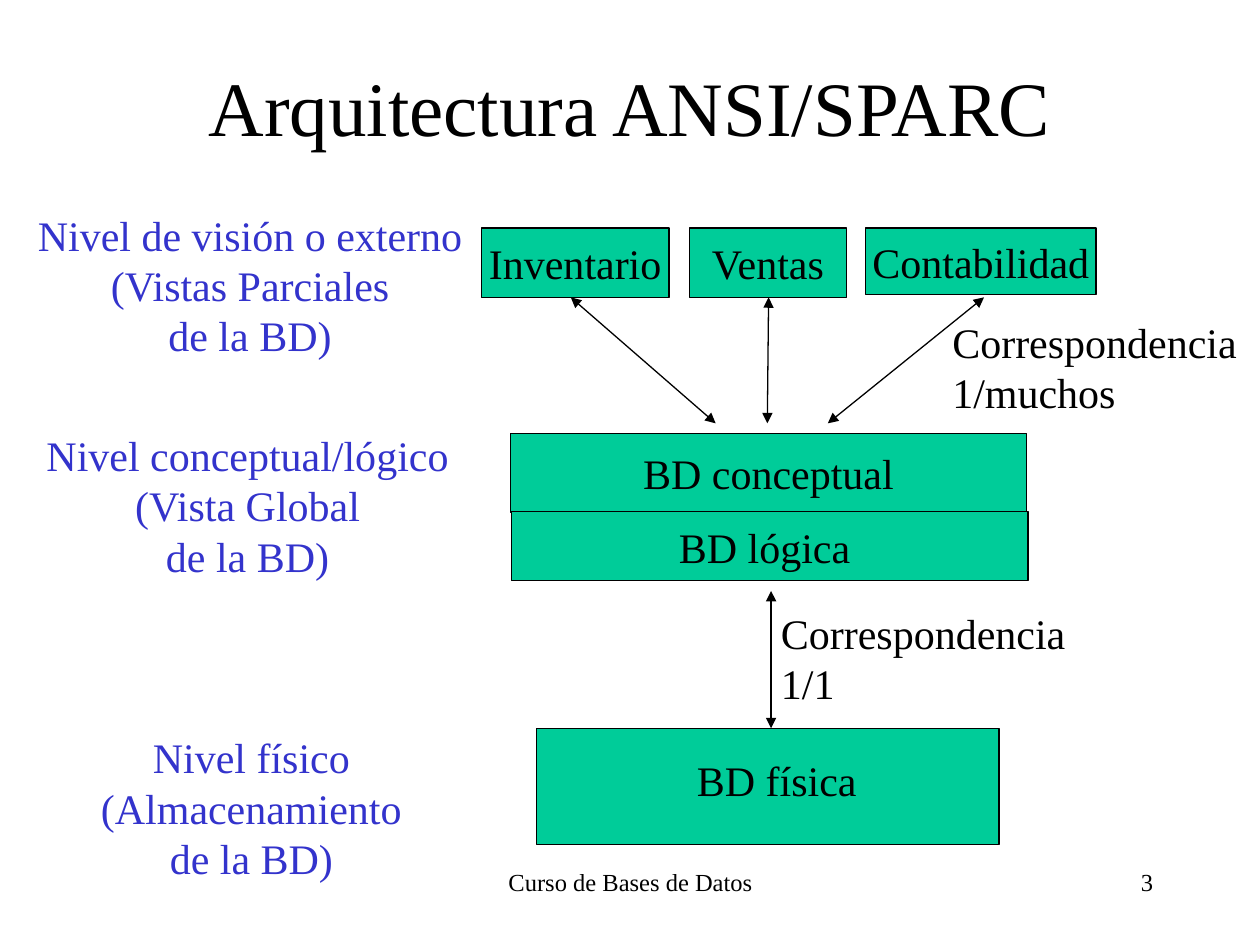
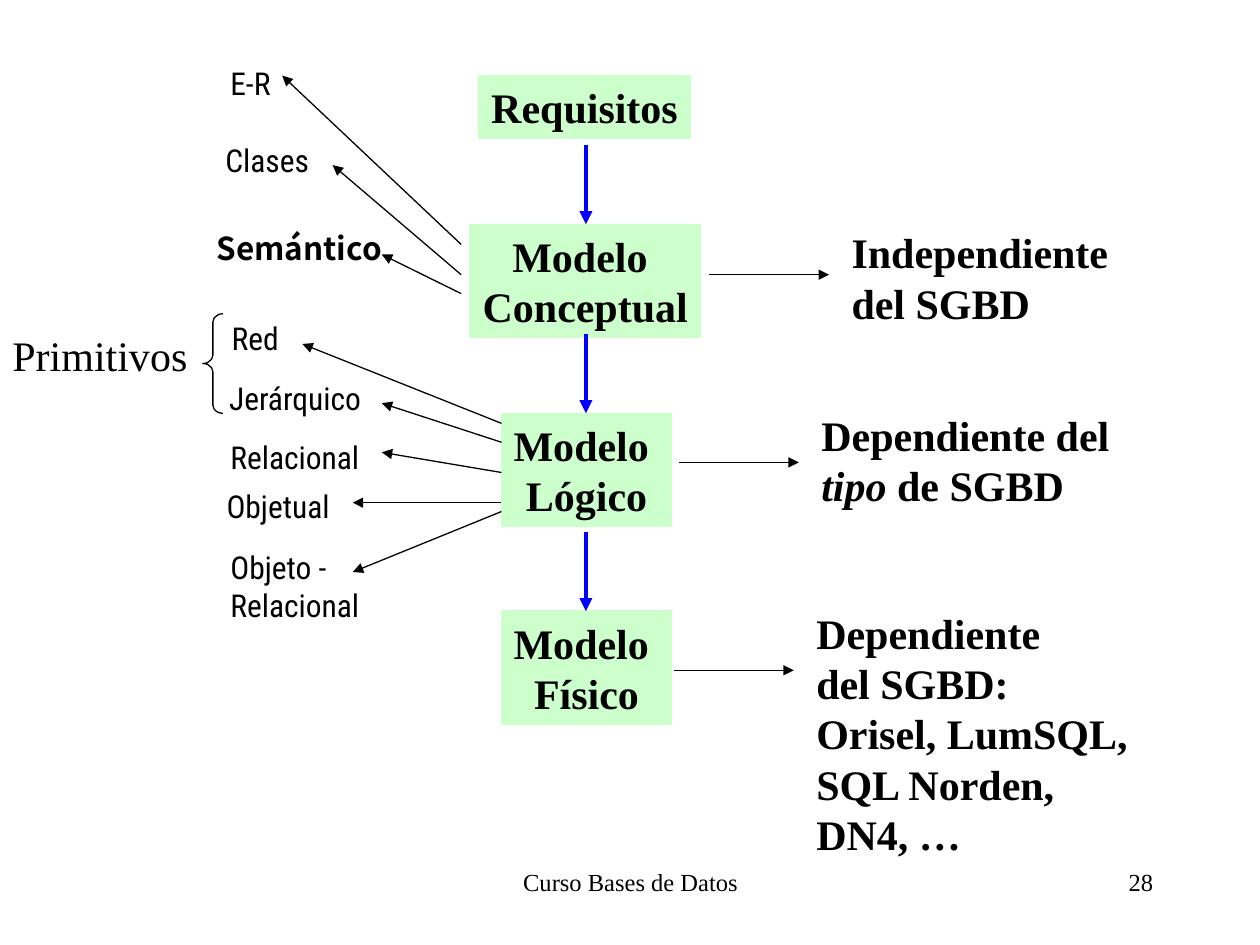
from lxml import etree
from pptx import Presentation
from pptx.dml.color import RGBColor
from pptx.enum.shapes import MSO_CONNECTOR, MSO_SHAPE
from pptx.enum.text import MSO_ANCHOR, PP_ALIGN
from pptx.oxml.ns import qn
from pptx.util import Inches, Pt

LEFT, CENTER, RIGHT = PP_ALIGN.LEFT, PP_ALIGN.CENTER, PP_ALIGN.RIGHT
TOP, MIDDLE = MSO_ANCHOR.TOP, MSO_ANCHOR.MIDDLE
RECTANGLE, LEFT_BRACE = MSO_SHAPE.RECTANGLE, MSO_SHAPE.LEFT_BRACE
STRAIGHT = MSO_CONNECTOR.STRAIGHT

COLUMNS, ROWS = 100, 75
BLANK_LAYOUT = 6
SERIF, CONDENSED, SANS = "Times New Roman", "Roboto Condensed", "Noto Sans CJK SC"
BLACK, LEVEL_BLUE, FLOW_BLUE = "000000", "3333CC", "0000FF"
DATABASE_GREEN, MODEL_GREEN = "00CC99", "CCFFCC"
THIN, THICK = 0.75, 2.5


def grid(*cells):
    """Turn grid columns or rows (a tenth of an inch each) into lengths."""
    return [Inches(cell / 10) for cell in cells]


def color(hex_string):
    """Return the colour of a hex string."""
    return RGBColor.from_string(hex_string)


def write(frame, text, size=24, font=SERIF, ink=BLACK, bold=False,
          alignment=LEFT, anchor=TOP, wrap=False):
    """Write one paragraph per line; words between asterisks are italic."""
    frame.word_wrap = wrap
    frame.vertical_anchor = anchor
    for index, line in enumerate(text.split("\n")):
        paragraph = frame.add_paragraph() if index else frame.paragraphs[0]
        paragraph.alignment = alignment
        paragraph.font.size = Pt(size)
        paragraph.font.name = font
        paragraph.font.bold = bold
        paragraph.font.color.rgb = color(ink)
        for position, part in enumerate(line.split("*")):
            run = paragraph.add_run()
            run.text = part
            if position % 2:
                run.font.italic = True


def add_text(slide, place, text, **style):
    """Add a text box."""
    write(slide.shapes.add_textbox(*grid(*place)).text_frame, text, **style)


def add_box(slide, place, text, fill, line, **style):
    """Add a filled rectangle with text."""
    shape = slide.shapes.add_shape(RECTANGLE, *grid(*place))
    shape.shadow.inherit = False
    shape.fill.solid()
    shape.fill.fore_color.rgb = color(fill)
    shape.line.color.rgb = color(line)
    shape.line.width = Pt(THIN)
    if text:
        write(shape.text_frame, text, **style)


def add_arrow(slide, start, end, ink=BLACK, width=THIN, both_ends=False):
    """Add an arrow with a head at its end, or at both ends."""
    connector = slide.shapes.add_connector(STRAIGHT, *grid(*start, *end))
    connector.line.color.rgb = color(ink)
    connector.line.width = Pt(width)
    properties = connector.element.spPr
    outline = properties.find(qn("a:ln"))
    for name in ("a:headEnd", "a:tailEnd") if both_ends else ("a:tailEnd",):
        etree.SubElement(outline, qn(name), type="triangle")
    etree.SubElement(properties, qn("a:effectLst"))


def add_brace(slide, place):
    """Add a left brace with rounded corners."""
    brace = slide.shapes.add_shape(LEFT_BRACE, *grid(*place))
    brace.shadow.inherit = False
    brace.adjustments[0] = 0.41
    brace.fill.background()
    brace.line.color.rgb = color(BLACK)
    brace.line.width = Pt(THIN)


def add_slide(presentation, footer, number):
    """Add a blank slide with its footer and number."""
    slide = presentation.slides.add_slide(presentation.slide_layouts[BLANK_LAYOUT])
    add_text(slide, (34.2, 68.3, 31.7, 5), footer, size=14, alignment=CENTER, wrap=True)
    add_text(slide, (71.7, 68.3, 20.8, 5), number, size=14, alignment=RIGHT, wrap=True)
    return slide


def build_architecture(presentation):
    """Build the slide of the three database levels."""
    slide = add_slide(presentation, "Curso de Bases de Datos", "3")
    add_text(slide, (7.5, 2.1, 85, 12.5), "Arquitectura ANSI/SPARC", size=44,
             alignment=CENTER, anchor=MIDDLE, wrap=True)
    for place, text in (
        ((38.2, 18.1, 14.9, 5.5), "Inventario"),
        ((54.7, 18.1, 12.5, 5.5), "Ventas"),
        ((68.7, 18.1, 18.3, 5.3), "Contabilidad"),
        ((40.5, 34.4, 41, 6.3), "BD conceptual"),
        ((40.6, 40.6, 41, 5.5), "BD lógica "),
        ((42.6, 57.8, 36.7, 9.2), ""),
    ):
        add_box(slide, place, text, DATABASE_GREEN, BLACK,
                alignment=CENTER, anchor=MIDDLE)
    add_text(slide, (54.3, 59.4, 14.7, 5), "BD física", alignment=CENTER)
    for start, end in (
        ((45.3, 23.6), (56.8, 33.6)),
        ((61, 23.6), (60.9, 33.6)),
        ((78.1, 23.6), (65.7, 33.6)),
        ((61.2, 46.9), (61.2, 57.8)),
    ):
        add_arrow(slide, start, end, both_ends=True)
    for place, text in (
        ((2, 16.1, 35.7, 13), "Nivel de visión o externo\n(Vistas Parciales\nde la BD)"),
        ((2.7, 33.6, 33.9, 13), "Nivel conceptual/lógico\n(Vista Global\nde la BD)"),
        ((7, 57.6, 25.9, 13), "Nivel físico\n(Almacenamiento\nde la BD)"),
    ):
        add_text(slide, place, text, ink=LEVEL_BLUE, alignment=CENTER)
    for left, top, ratio in ((61, 47.7, "1/1"), (74.6, 24.6, "1/muchos")):
        add_text(slide, (left, top, 26, 9), f"Correspondencia {ratio}", wrap=True)


def build_models(presentation):
    """Build the slide of the path from requirements to the physical model."""
    slide = add_slide(presentation, "Curso Bases de Datos", "28")
    for place, text, alignment in (
        ((38, 6, 16.8, 5), "Requisitos", LEFT),
        ((37.3, 17.8, 18.3, 9), "Modelo \nConceptual", CENTER),
        ((39.8, 32.8, 13.5, 9), "Modelo \nLógico", CENTER),
        ((39.8, 48.5, 13.5, 9), "Modelo \nFísico", CENTER),
    ):
        add_box(slide, place, text, MODEL_GREEN, MODEL_GREEN,
                bold=True, alignment=alignment)
    for top in (11.5, 26.5, 42.2):
        add_arrow(slide, (46.5, top), (46.5, top + 6.3), FLOW_BLUE, THICK)

    for left, top, width, text in (
        (17.3, 4.6, 9, "E-R"),
        (16.9, 10.7, 9.4, "Clases"),
        (17.4, 24.8, 6.5, "Red"),
        (17.2, 29.6, 14, "Jerárquico"),
        (17.3, 34.3, 13.9, "Relacional"),
        (17, 38.2, 12, "Objetual"),
        (17.3, 43, 13.9, "Objeto -\nRelacional"),
    ):
        height = 4 + 3 * text.count("\n")
        add_text(slide, (left, top, width, height), text, size=18, font=CONDENSED)
    add_text(slide, (16.2, 17.7, 15.2, 4), "Semántico", size=18, font=SANS, bold=True)
    add_text(slide, (0, 25.7, 15.9, 5), "Primitivos")
    add_brace(slide, (16.1, 24.9, 1.6, 7.9))

    conceptual_edge, logical_edge = 36.6, 39.8
    for left, top, end in (
        (conceptual_edge, 19.4, (22.4, 6)),
        (conceptual_edge, 21.8, (26.4, 13.1)),
        (conceptual_edge, 23.3, (30.3, 20.2)),
        (logical_edge, 33.6, (24, 27.3)),
        (logical_edge, 35.1, (30.3, 32)),
        (logical_edge, 37.5, (30.3, 35.9)),
        (logical_edge, 39.9, (28, 39.9)),
        (logical_edge, 40.6, (28, 45.4)),
    ):
        add_arrow(slide, (left, top), end)

    for start, level, top, height, text in (
        (56.3, 21.8, 17.5, 9, "Independiente\ndel SGBD"),
        (53.9, 36.7, 32, 9, "Dependiente del *tipo *de SGBD"),
        (53.5, 53.2, 47.7, 21,
         "Dependiente\ndel SGBD: Orisel, LumSQL, SQL Norden, DN4, …"),
    ):
        add_arrow(slide, (start, level), (start + 9.5, level))
        add_text(slide, (start + 10.3, top, 27.2, height), text, bold=True, wrap=True)


def main():
    """Build and save the presentation."""
    presentation = Presentation()
    presentation.slide_width, presentation.slide_height = grid(COLUMNS, ROWS)
    build_architecture(presentation)
    build_models(presentation)
    presentation.save("out.pptx")


if __name__ == "__main__":
    main()
